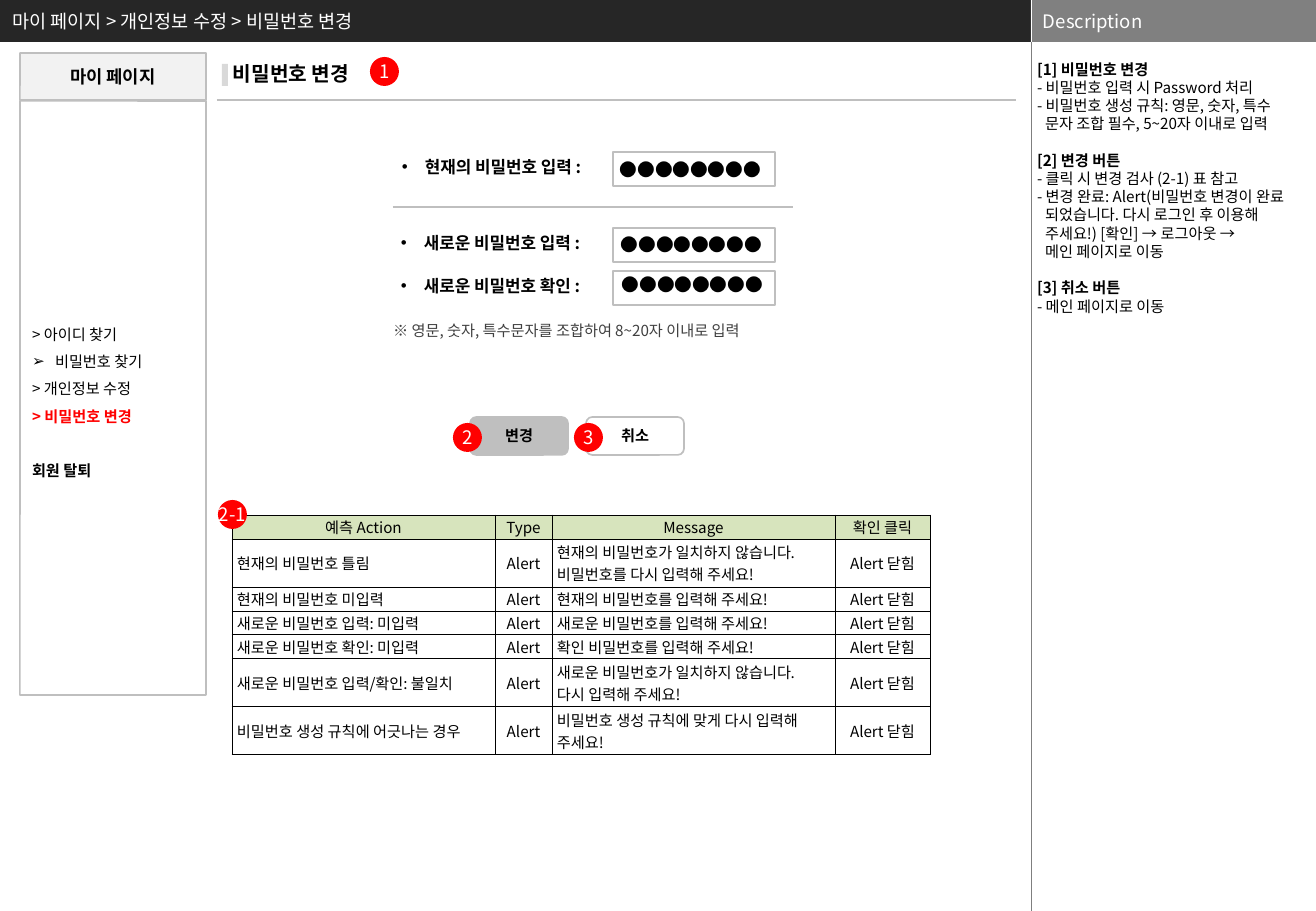
from lxml import etree
from pptx import Presentation
from pptx.dml.color import RGBColor
from pptx.enum.shapes import MSO_CONNECTOR, MSO_SHAPE
from pptx.enum.text import MSO_ANCHOR, MSO_AUTO_SIZE, PP_ALIGN
from pptx.oxml.ns import qn
from pptx.util import Pt

PX = 7526  # EMU per px
FONT = "Noto Sans CJK KR"
RECT, ROUND, OVAL = MSO_SHAPE.RECTANGLE, MSO_SHAPE.ROUNDED_RECTANGLE, MSO_SHAPE.OVAL
STRAIGHT = MSO_CONNECTOR.STRAIGHT
LEFT, CENTER = PP_ALIGN.LEFT, PP_ALIGN.CENTER
TOP, MIDDLE = MSO_ANCHOR.TOP, MSO_ANCHOR.MIDDLE
NO_FIT = MSO_AUTO_SIZE.NONE

BLACK, WHITE = RGBColor(0, 0, 0), RGBColor(255, 255, 255)
RED = RGBColor(255, 0, 0)
DARK, CHARCOAL = RGBColor(0x26, 0x26, 0x26), RGBColor(0x40, 0x40, 0x40)
GRAY, RULE_GRAY = RGBColor(0x80, 0x80, 0x80), RGBColor(0x7F, 0x7F, 0x7F)
SILVER, LIGHT = RGBColor(0xBF, 0xBF, 0xBF), RGBColor(0xD9, 0xD9, 0xD9)
PALE, GREEN = RGBColor(0xF2, 0xF2, 0xF2), RGBColor(0xD7, 0xE4, 0xBD)

DESCRIPTION = [
    ("[1] 비밀번호 변경", ["- 비밀번호 입력 시 Password 처리",
                     "- 비밀번호 생성 규칙: 영문, 숫자, 특수",
                     "문자 조합 필수, 5~20자 이내로 입력"]),
    ("[2] 변경 버튼", ["- 클릭 시 변경 검사 (2-1) 표 참고",
                   "- 변경 완료: Alert(비밀번호 변경이 완료",
                   "되었습니다. 다시 로그인 후 이용해",
                   "주세요!) [확인] → 로그아웃 →",
                   "메인 페이지로 이동"]),
    ("[3] 취소 버튼", ["- 메인 페이지로 이동"]),
]
# label, field top, label left, dots left, dots top
FIELDS = [
    ("현재의 비밀번호 입력 :", 152, 390, 608, 153),
    ("새로운 비밀번호 입력 :", 228, 389, 609, 228),
    ("새로운 비밀번호 확인 :", 271, 389, 610, 268),
]
CHECKS = [
    ("예측 Action", "Type", "Message", "확인 클릭"),
    ("현재의 비밀번호 틀림", "Alert",
     "현재의 비밀번호가 일치하지 않습니다.\n비밀번호를 다시 입력해 주세요!", "Alert 닫힘"),
    ("현재의 비밀번호 미입력", "Alert", "현재의 비밀번호를 입력해 주세요!", "Alert 닫힘"),
    ("새로운 비밀번호 입력: 미입력", "Alert", "새로운 비밀번호를 입력해 주세요!", "Alert 닫힘"),
    ("새로운 비밀번호 확인: 미입력", "Alert", "확인 비밀번호를 입력해 주세요!", "Alert 닫힘"),
    ("새로운 비밀번호 입력/확인: 불일치", "Alert",
     "새로운 비밀번호가 일치하지 않습니다.\n다시 입력해 주세요!", "Alert 닫힘"),
    ("비밀번호 생성 규칙에 어긋나는 경우", "Alert",
     "비밀번호 생성 규칙에 맞게 다시 입력해 주세요!", "Alert 닫힘"),
]


def emu(*lengths):
    return [round(length * PX) for length in lengths]


def place(shape, box):
    shape.left, shape.top, shape.width, shape.height = emu(*box)


def style(par, size, color=BLACK, bold=False, align=LEFT, spacing=1.2,
          before=0, margin=0, hang=0, bullet=None):
    par.alignment = align
    par.space_before = Pt(before)
    if spacing:
        par.line_spacing = Pt(size * spacing)
    props = par._p.get_or_add_pPr()
    props.set("marL", str(margin * PX))
    props.set("indent", str(-hang * PX))
    if bullet:
        etree.SubElement(props, qn("a:buFont")).set("typeface", "Arial")
        etree.SubElement(props, qn("a:buChar")).set("char", bullet)
    else:
        etree.SubElement(props, qn("a:buNone"))
    font = par.font
    font.name, font.size, font.bold = FONT, Pt(size), bold
    font.color.rgb = color
    etree.SubElement(font._element, qn("a:ea")).set("typeface", FONT)


def set_frame(frame, anchor, inset_x=12, inset_y=6):
    frame.word_wrap, frame.auto_size, frame.vertical_anchor = True, NO_FIT, anchor
    frame.margin_left = frame.margin_right = inset_x * PX
    frame.margin_top = frame.margin_bottom = inset_y * PX


def write(frame, text, size, anchor=TOP, **look):
    set_frame(frame, anchor)
    frame.text = text
    style(frame.paragraphs[0], size, **look)


def add_text(slide, box, text, size, **look):
    write(slide.shapes.add_textbox(*emu(*box)).text_frame, text, size, **look)


def add_box(slide, kind, box, fill=None, line=None, width=1):
    shape = slide.shapes.add_shape(kind, *emu(*box))
    shape.shadow.inherit = False
    if fill is None:
        shape.fill.background()
    else:
        shape.fill.solid()
        shape.fill.fore_color.rgb = fill
    if line is None:
        shape.line.fill.background()
    else:
        shape.line.color.rgb, shape.line.width = line, Pt(width)
    return shape


def add_rule(slide, x1, y1, x2, y2, color, width):
    rule = slide.shapes.add_connector(STRAIGHT, *emu(x1, y1, x2, y2))
    rule.line.color.rgb, rule.line.width = color, Pt(width)
    etree.SubElement(rule._element.spPr, qn("a:effectLst"))


def add_marker(slide, x, y, mark):
    frame = add_box(slide, OVAL, (x, y, 29, 29), RED).text_frame
    write(frame, "", 11, anchor=MIDDLE, color=WHITE, align=CENTER)
    set_frame(frame, MIDDLE, 0, 0)
    frame.word_wrap = False
    for char in mark:
        run = frame.paragraphs[0].add_run()
        run.text = char
        if char == "-":
            run._r.get_or_add_rPr().set("spc", "-150")


def build_header(slide, width, split, height):
    breadcrumb = slide.shapes.title
    place(breadcrumb, (0, 0, split, height))
    breadcrumb.fill.solid()
    breadcrumb.fill.fore_color.rgb = DARK
    write(breadcrumb.text_frame, "마이 페이지 > 개인정보 수정 > 비밀번호 변경", 11,
          anchor=MIDDLE, color=WHITE)
    heading = add_box(slide, RECT, (split, 0, width - split, height), GRAY)
    write(heading.text_frame, "Description", 11, anchor=MIDDLE, color=WHITE)
    add_rule(slide, split, 0, split, height, WHITE, 0.25)


def build_description(slide, x, y, w, h):
    add_rule(slide, x, y, x, y + h, RULE_GRAY, 0.25)
    notes = slide.placeholders[1]
    place(notes, (x + 1, y + 18, w - 1, h - 18))
    frame = notes.text_frame
    set_frame(frame, TOP, 5, 0)
    par = frame.paragraphs[0]
    for index, (heading, lines) in enumerate(DESCRIPTION):
        if index:
            par = frame.add_paragraph()
        par.text = heading
        style(par, 9, bold=True, before=10.8 if index else 0)
        for line in lines:
            par = frame.add_paragraph()
            par.text = line
            style(par, 9, margin=0 if line.startswith("-") else 8)


def build_sidebar(slide, x, y, w, h):
    head = add_box(slide, ROUND, (x, y, w, 47), PALE, SILVER)
    menu = add_box(slide, ROUND, (x, y + 48, w, h - 48), None, SILVER)
    for panel in (head, menu):
        panel.adjustments[0] = 0.001
    write(head.text_frame, "마이 페이지", 10.5, anchor=MIDDLE, bold=True, align=CENTER)
    frame = menu.text_frame
    write(frame, "> 아이디 찾기", 9, anchor=MIDDLE, spacing=1.8)
    for item, look in (("비밀번호 찾기", dict(margin=23, hang=23, bullet="➢")),
                       ("> 개인정보 수정", {}),
                       ("> 비밀번호 변경", dict(color=RED, bold=True)),
                       ("회원 탈퇴", dict(bold=True, before=16.2))):
        par = frame.add_paragraph()
        par.text = item
        style(par, 9, spacing=1.8, **look)


def build_form(slide, x, y, w):
    # Section heading
    add_text(slide, (x + 4, y, 330, 36), "비밀번호 변경", 12, bold=True)
    add_box(slide, RECT, (x + 5, y + 9, 6, 22), LIGHT)
    add_rule(slide, x, y + 45, x + w, y + 45, SILVER, 0.75)
    add_marker(slide, x + 153, y + 2, "1")
    # Password fields
    for label, top, label_x, dots_x, dots_y in FIELDS:
        add_box(slide, RECT, (613, top, 162, 34), WHITE, SILVER, 0.75)
        add_text(slide, (label_x, top - 1, 230, 33), label, 10, bold=True,
                 margin=23, hang=23, bullet="•")
        add_text(slide, (dots_x, dots_y, 172, 34), "●●●●●●●●", 10.5)
    add_rule(slide, 393, 207, 793, 207, SILVER, 0.75)
    add_text(slide, (381, 315, 430, 48), "※ 영문, 숫자, 특수문자를 조합하여 8~20자 이내로 입력",
             9, color=CHARCOAL)
    # Buttons
    for left, caption, fill, mark_x, mark in ((470, "변경", SILVER, 453, "2"),
                                              (586, "취소", WHITE, 574, "3")):
        button = add_box(slide, ROUND, (left, 417, 98, 38), fill, SILVER)
        write(button.text_frame, caption, 9, anchor=MIDDLE, bold=True, align=CENTER)
        add_marker(slide, mark_x, 423, mark)


def format_cell(cell, text, align, fill):
    cell.text = text
    cell.vertical_anchor = MIDDLE
    cell.margin_left = cell.margin_right = 5 * PX
    cell.margin_top = cell.margin_bottom = 0
    for par in cell.text_frame.paragraphs:
        style(par, 9, align=align, spacing=None)
    props = cell._tc.get_or_add_tcPr()
    for side in ("a:lnL", "a:lnR", "a:lnT", "a:lnB"):
        border = etree.SubElement(props, qn(side), w=str(Pt(0.5)))
        paint = etree.SubElement(border, qn("a:solidFill"))
        etree.SubElement(paint, qn("a:srgbClr"), val=str(BLACK))
    if fill is None:
        cell.fill.background()
    else:
        cell.fill.solid()
        cell.fill.fore_color.rgb = fill


def build_checks(slide, x, y):
    widths, heights = (263, 57, 283, 95), (24, 48, 24, 24, 24, 48, 48)
    checks = slide.shapes.add_table(len(heights), len(widths), *emu(
        x, y, sum(widths), sum(heights))).table
    checks.first_row = checks.horz_banding = False
    for column, width in zip(checks.columns, widths):
        column.width = width * PX
    for r, (row, height) in enumerate(zip(checks.rows, heights)):
        row.height = height * PX
        for c, text in enumerate(CHECKS[r]):
            align = LEFT if r and c in (0, 2) else CENTER
            format_cell(row.cells[c], text, align, None if r else GREEN)
    add_marker(slide, x - 14, y - 15, "2-1")


def main():
    deck = Presentation()
    deck.slide_width, deck.slide_height = emu(1316, 911)
    slide = deck.slides.add_slide(deck.slide_layouts[1])
    build_header(slide, 1316, 1031, 42)
    build_description(slide, 1031, 42, 285, 869)
    build_sidebar(slide, 20, 53, 186, 642)
    build_form(slide, 217, 55, 799)
    build_checks(slide, 232, 515)
    deck.save("out.pptx")


if __name__ == "__main__":
    main()
